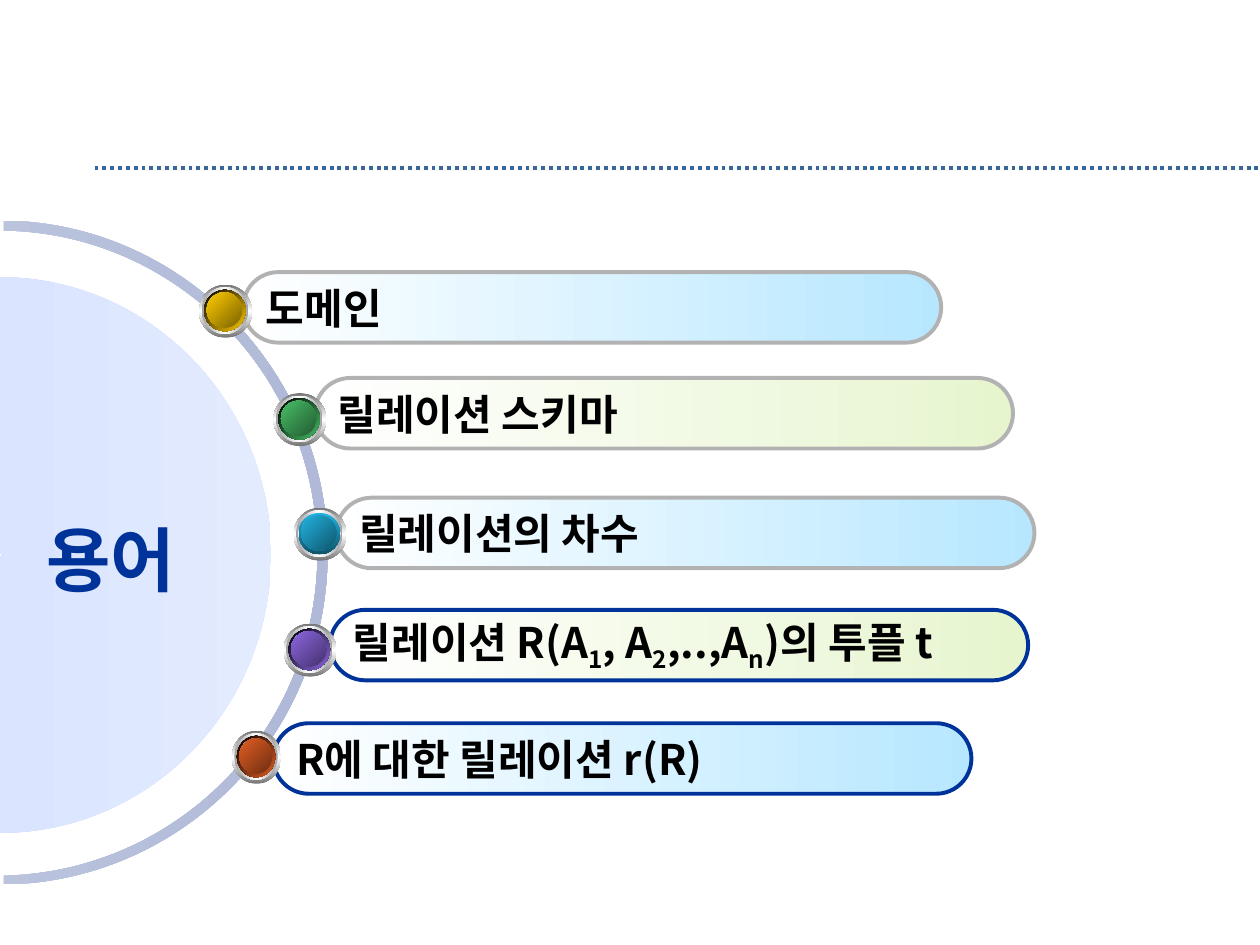
from copy import deepcopy
from dataclasses import dataclass
from lxml.etree import SubElement
from pptx import Presentation
from pptx.dml.color import RGBColor
from pptx.enum.dml import MSO_LINE
from pptx.enum.shapes import MSO_CONNECTOR, MSO_SHAPE
from pptx.enum.text import MSO_ANCHOR, PP_ALIGN
from pptx.oxml.ns import qn
from pptx.util import Inches, Pt


def rgb(code):
    return RGBColor.from_string(code)


def assign(target, values):
    for name, value in values.items():
        setattr(target, name, value)


@dataclass
class Painter:
    """Draws styled elements on the current slide."""
    page: object
    font: str = "Noto Sans CJK KR"
    line_width: float = 2.24

    def gradient(self, shape, colors, angle=0):
        shape.shadow.inherit = False
        shape.line.fill.background()
        shape.fill.gradient()
        stop_list = shape._element.spPr.find(qn("a:gradFill")).find(qn("a:gsLst"))
        while len(stop_list) < len(colors):
            stop_list.append(deepcopy(stop_list[0]))
        for index, (stop, color) in enumerate(zip(shape.fill.gradient_stops, colors)):
            stop.position = index / (len(colors) - 1)
            stop.color.rgb = rgb(color)
        shape.fill.gradient_angle = -angle % 360

    def text(self, shape, parts, size, color, align, wrap):
        assign(shape.text_frame, {"word_wrap": wrap, "vertical_anchor": MSO_ANCHOR.MIDDLE})
        para = shape.text_frame.paragraphs[0]
        para.alignment = align
        for index, part in enumerate(parts):
            span = para.add_run()
            span.text = part
            span.font.color.rgb = rgb(color)
            assign(span.font, {"size": Pt(size), "bold": True, "name": self.font})
            properties = span._r.get_or_add_rPr()
            SubElement(properties, qn("a:ea")).set("typeface", self.font)
            if index % 2:
                properties.set("baseline", "-25000")

    def divider(self, left, right, top, color):
        line = self.page.shapes.add_connector(
            MSO_CONNECTOR.STRAIGHT, Inches(left), Inches(top), Inches(right), Inches(top))
        line.line.color.rgb = rgb(color)
        assign(line.line, {"width": Pt(self.line_width), "dash_style": MSO_LINE.ROUND_DOT})
        SubElement(line._element.spPr, qn("a:effectLst"))

    def curve(self, left, top, width, height, commands, colors):
        right, bottom = left + width, top + height
        builder = self.page.shapes.build_freeform(Inches(left), Inches(top))
        builder.add_line_segments([(Inches(right), Inches(bottom))], close=True)
        shape = builder.convert_to_shape()
        outline = next(shape._element.iter(qn("a:path")))
        for child in list(outline):
            outline.remove(child)
        for command, points in commands:
            step = SubElement(outline, qn("a:" + command))
            for x, y in points:
                point = SubElement(step, qn("a:pt"))
                point.set("x", str(int(Inches(x - left))))
                point.set("y", str(int(Inches(y - top))))
        self.gradient(shape, colors)

    def bar(self, left, top, parts, tint, border):
        box = self.page.shapes.add_shape(
            MSO_SHAPE.ROUNDED_RECTANGLE, Inches(left), Inches(top), Inches(5.54), Inches(0.56))
        box.adjustments[0] = 0.5
        self.gradient(box, ["FFFFFF", tint])
        box.line.color.rgb = rgb(border)
        box.line.width = Pt(self.line_width)
        self.text(box, parts, 24, "000000", PP_ALIGN.LEFT, False)

    def ball(self, left, top, width, color, shade, rim):
        layers = [
            (0, 0.42, ["767676", "FFFFFF", "767676"], 90),
            (0.02, 0.37, ["A2A2A2", "FFFFFF", "A2A2A2"], 0),
            (0.04, 0.33, ["FFFFFF", "CCECFF", "FFFFFF"], 45),
            (0.04, 0.33, *rim),
            (0.06, 0.28, ["6E808A", "CCECFF", "6E808A"], 315),
            (0.06, 0.28, [color, shade], 45),
        ]
        group = self.page.shapes.add_group_shape()
        for offset, size, colors, angle in layers:
            disc = group.shapes.add_shape(
                MSO_SHAPE.OVAL, Inches(left + offset), Inches(top + offset),
                Inches(size * width / 0.42), Inches(size))
            self.gradient(disc, colors, angle)

    def title(self, left, top, width, height, label):
        box = self.page.shapes.add_textbox(
            Inches(left), Inches(top), Inches(width), Inches(height))
        self.text(box, [label], 40, "003399", PP_ALIGN.CENTER, True)


BLUE, GREEN = "B7E7FF", "E7F5CF"
GRAY, NAVY = "B2B2B2", "003399"
BARS = [
    (2.17, 5.74, ["R에 대한 릴레이션 r(R)"], BLUE, NAVY),
    (2.62, 4.84, ["릴레이션 R(A", "1", ", A", "2", ",..,A", "n", ")의 투플 t"], GREEN, NAVY),
    (2.67, 3.95, ["릴레이션의 차수"], BLUE, GRAY),
    (2.5, 3, ["릴레이션 스키마"], GREEN, GRAY),
    (1.93, 2.16, ["도메인"], BLUE, GRAY),
]
BALLS = [
    (1.58, 2.26, 0.42, "FFCC00", "7C6300", (["000000", "FFCC00"], 45)),
    (2.17, 3.12, 0.42, "48BE67", "235C32", (["000000", "48BE67"], 45)),
    (2.33, 4.03, 0.42, "21B3E1", "10576D", (["21B3E1", "0F5368"], 90)),
    (2.25, 4.95, 0.42, "8D67E1", "45326D", (["000000", "8D67E1"], 45)),
    (1.84, 5.8, 0.39, "E35E23", "6E2E11", (["000000", "E35E23"], 45)),
]
RING = [
    ("moveTo", [(0.03, 1.83)]),
    ("cubicBezTo", [(1.41, 1.85), (2.52, 2.99), (2.52, 4.39)]),
    ("cubicBezTo", [(2.52, 5.79), (1.41, 6.92), (0.03, 6.95)]),
    ("lnTo", [(0.03, 7.02)]),
    ("cubicBezTo", [(1.45, 7), (2.6, 5.83), (2.6, 4.39)]),
    ("cubicBezTo", [(2.6, 2.95), (1.45, 1.77), (0.03, 1.75)]),
    ("lnTo", [(0.03, 1.83)]),
    ("close", []),
]
HALF_DISC = [
    ("moveTo", [(0, 4.42)]),
    ("cubicBezTo", [(0.01, 4.42), (0.01, 4.41), (0.01, 4.4)]),
    ("cubicBezTo", [(0.01, 4.4), (0.01, 4.39), (0, 4.39)]),
    ("lnTo", [(0, 2.2)]),
    ("cubicBezTo", [(1.19, 2.2), (2.15, 3.19), (2.15, 4.4)]),
    ("cubicBezTo", [(2.15, 5.62), (1.19, 6.61), (0, 6.61)]),
    ("lnTo", [(0, 4.42)]),
    ("close", []),
]

deck = Presentation()
assign(deck, {"slide_width": Inches(10), "slide_height": Inches(7.5)})
painter = Painter(deck.slides.add_slide(deck.slide_layouts[6]))

painter.divider(0.75, 10, 1.33, "336699")
painter.curve(-2.62, 1.75, 5.22, 5.28, RING, ["C5CDE2", "B0BAD8"])
painter.curve(-2.15, 2.2, 4.3, 4.41, HALF_DISC, ["CEDCFF", "E3EBFF"])
for bar in BARS:
    painter.bar(*bar)
for ball in BALLS:
    painter.ball(*ball)
painter.title(0.16, 4.14, 1.44, 0.58, "용어")

deck.save("out.pptx")
